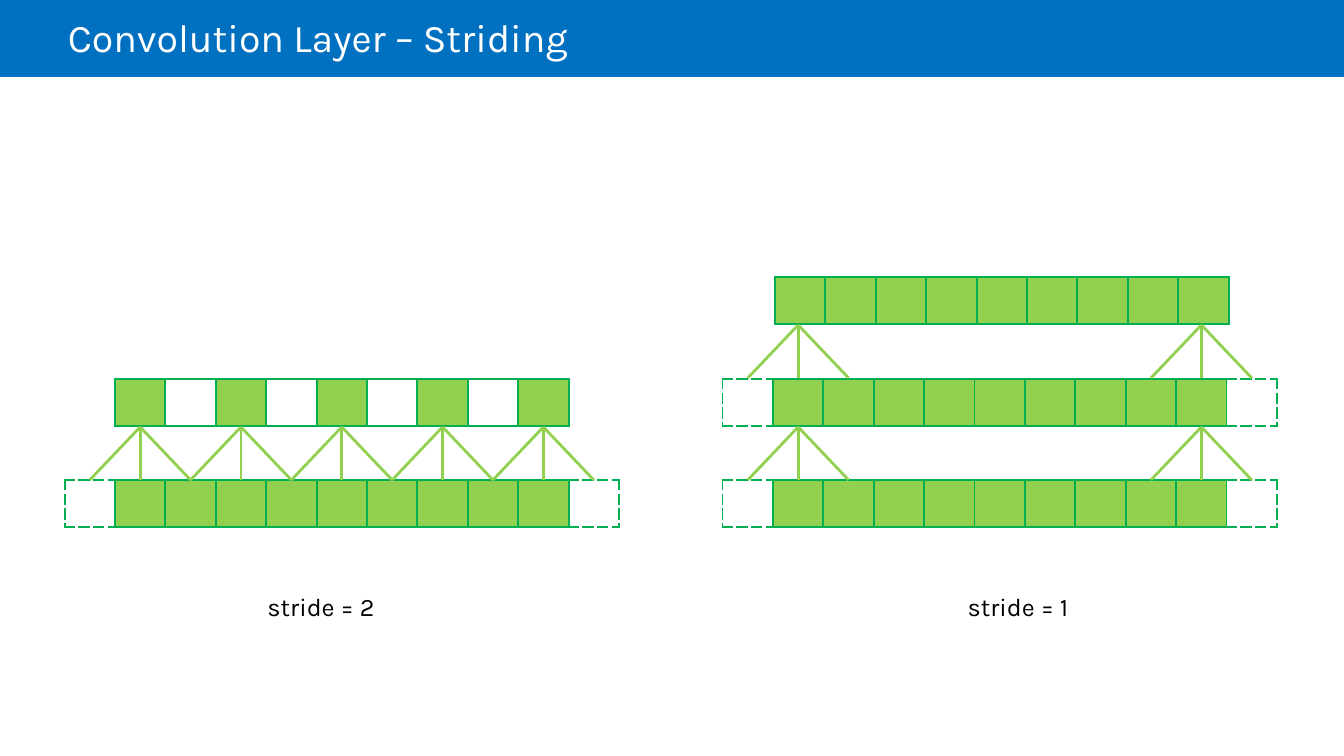
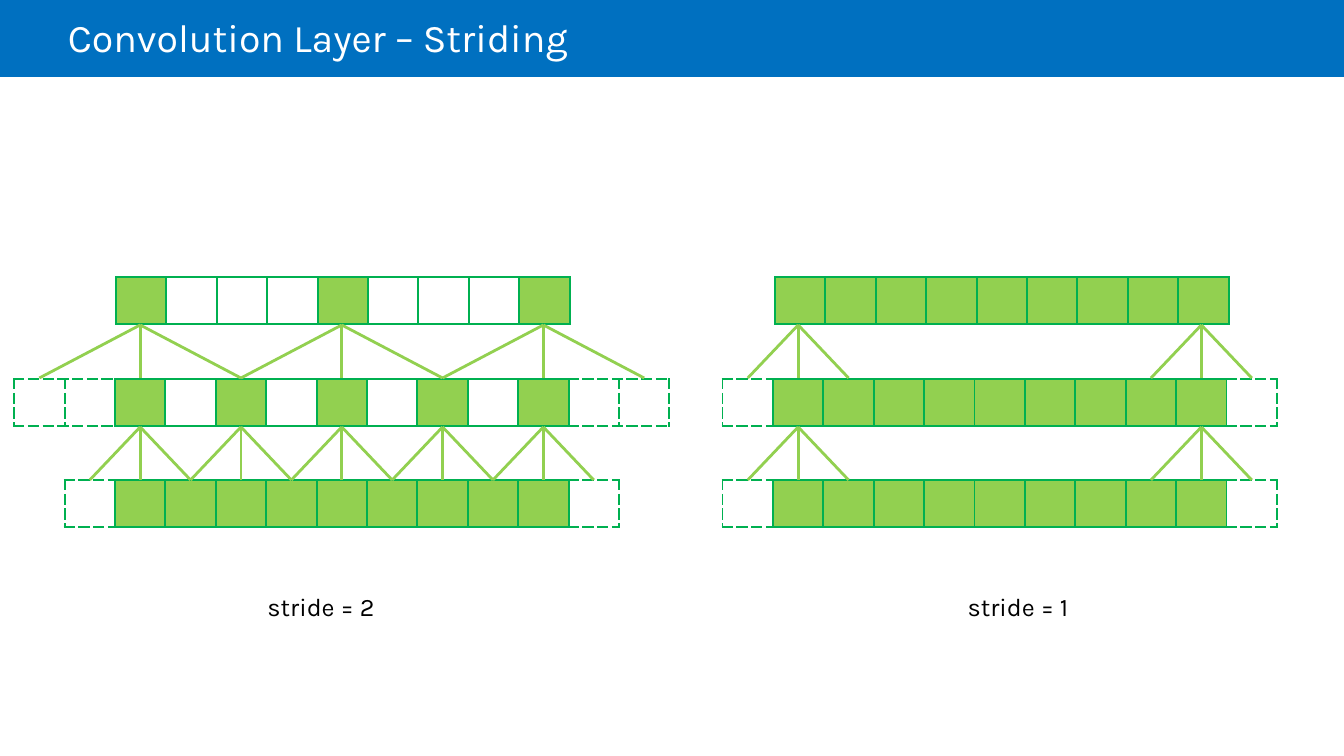
from lxml import etree
from pptx import Presentation
from pptx.dml.color import RGBColor
from pptx.enum.shapes import MSO_CONNECTOR, MSO_SHAPE
from pptx.enum.text import MSO_ANCHOR, PP_ALIGN
from pptx.oxml.ns import qn
from pptx.util import Emu, Pt

# Content. In a row: # kept cell, . unfilled cell, o white cell,
# - dashed padding, space for a cell without border.
TITLE = "Convolution Layer – Striding"
DENSE = "-#########-"
STRIDE_1 = {
    "caption": ("stride = 1", 865),
    "rows": [("middle", 773, DENSE), ("top", 775, " ######### "), ("bottom", 773, DENSE)],
    "fans": [("middle", 773, (0, 8), 1), ("top", 773, (0, 8), 1)],
}
STRIDE_2_START = {
    "caption": ("stride = 2", 168),
    "rows": [("middle", 115, "  #.#.#.#.#  "), ("bottom", 115, DENSE)],
    "fans": [("middle", 115, (0, 2, 4, 6, 8), 1)],
}
STRIDE_2_FULL = {
    "caption": ("stride = 2", 168),
    "rows": [("middle", 115, "--#.#.#.#.#--"), ("top", 116, " #ooo#ooo# "), ("bottom", 115, DENSE)],
    "fans": STRIDE_2_START["fans"] + [("top", 115, (0, 4, 8), 2)],
}
SLIDES = [(STRIDE_2_START, STRIDE_1), (STRIDE_2_FULL, STRIDE_1)]

THEME = {
    "font": "Karla", "title_size": 28, "caption_size": 18,
    "band": "0070C0", "title": "FFFFFF", "text": "000000",
    "kept": "92D050", "blank": "FFFFFF", "border": "00B050",
    "border_width": 1.5, "fan_width": 2,
}

# Geometry in px
SLIDE_W, SLIDE_H = 1344, 756
BAND_H = 77
TITLE_BOX = (68, 0, 1143, 82)
LEVEL_TOP = {"top": 277, "middle": 379, "bottom": 480}
CELL_W, CELL_H = 504 / 10, 47
FAN_H = 53
CAPTION_TOP, CAPTION_W, CAPTION_H = 586, 306, 40
PX = 12192000 / SLIDE_W


def px(*lengths):
    return [Emu(round(n * PX)) for n in lengths]


def color(name):
    return RGBColor.from_string(THEME[name])


def write(tf, text, size, ink, **paragraph):
    p = tf.paragraphs[0]
    for name, value in paragraph.items():
        setattr(p, name, value)
    r = p.add_run()
    r.text = text
    r.font.color.rgb = color(ink)
    for name, value in {"name": THEME["font"], "size": Pt(THEME[size])}.items():
        setattr(r.font, name, value)


def set_border(cell, side, style):
    ln = etree.SubElement(cell._tc.get_or_add_tcPr(), qn(f"a:ln{side}"),
                          w=str(Pt(THEME["border_width"])))
    if style == "none":
        etree.SubElement(ln, qn("a:noFill"))
        return
    fill = etree.SubElement(ln, qn("a:solidFill"))
    etree.SubElement(fill, qn("a:srgbClr"), val=THEME["border"])
    etree.SubElement(ln, qn("a:prstDash"), val=style)


def border_style(cells):
    """A solid edge wins over a dashed one, and a dashed one over none."""
    if any(c in "#.o" for c in cells):
        return "solid"
    return "sysDash" if "-" in cells else "none"


def add_row(slide, level, left, pattern):
    """Draw one layer; left is where its first kept cell starts."""
    left -= pattern.index("#") * CELL_W
    box = px(left, LEVEL_TOP[level], len(pattern) * CELL_W, CELL_H)
    table = slide.shapes.add_table(1, len(pattern), *box).table
    table.first_row = table.horz_banding = False
    for i, kind in enumerate(pattern):
        table.columns[i].width = px(CELL_W)[0]
        cell = table.cell(0, i)
        edges = {"L": pattern[max(i - 1, 0):i + 1], "R": pattern[i:i + 2],
                 "T": kind, "B": kind}
        for side, cells in edges.items():
            set_border(cell, side, border_style(cells))
        if kind == ".":
            cell.fill.background()
        else:
            cell.fill.solid()
            cell.fill.fore_color.rgb = color("kept" if kind == "#" else "blank")


def add_fan(slide, level, left, index, reach):
    """Join a cell to the three cells below it that it is computed from."""
    apex = left + (index + 0.5) * CELL_W
    y = LEVEL_TOP[level] + CELL_H + 1
    group = slide.shapes.add_group_shape()
    for step in (reach, 0, -reach):
        ends = px(apex, y, apex + step * CELL_W, y + FAN_H)
        line = group.shapes.add_connector(MSO_CONNECTOR.STRAIGHT, *ends)
        line.line.color.rgb = color("kept")
        line.line.width = Pt(THEME["fan_width"])
        etree.SubElement(line._element.spPr, qn("a:effectLst"))


def add_caption(slide, text, left):
    box = px(left, CAPTION_TOP, CAPTION_W, CAPTION_H)
    tf = slide.shapes.add_textbox(*box).text_frame
    tf.word_wrap = True
    write(tf, text, "caption_size", "text", alignment=PP_ALIGN.CENTER)


def add_panel(slide, panel):
    for row in panel["rows"]:
        add_row(slide, *row)
    for level, left, indexes, reach in panel["fans"]:
        for index in indexes:
            add_fan(slide, level, left, index, reach)
    add_caption(slide, *panel["caption"])


def set_title_layout(layout):
    title = next(sp for sp in layout.placeholders if sp.placeholder_format.idx == 0)
    for name, value in zip(("left", "top", "width", "height"), px(*TITLE_BOX)):
        setattr(title, name, value)
    frame = {"vertical_anchor": MSO_ANCHOR.MIDDLE, "margin_left": 0}
    for name, value in frame.items():
        setattr(title.text_frame, name, value)


def add_master_band(prs, slide):
    """Build the band on a slide, then move it behind everything on the master."""
    band = slide.shapes.add_shape(MSO_SHAPE.RECTANGLE, *px(0, 0, SLIDE_W, BAND_H))
    band.shadow.inherit = False
    band.fill.solid()
    band.fill.fore_color.rgb = color("band")
    band.line.fill.background()
    prs.slide_master.shapes.element.insert(2, band.element)


def main():
    prs = Presentation()
    prs.slide_width, prs.slide_height = px(SLIDE_W, SLIDE_H)
    layout = prs.slide_layouts.get_by_name("Title Only")
    set_title_layout(layout)
    for panels in SLIDES:
        slide = prs.slides.add_slide(layout)
        write(slide.shapes.title.text_frame, TITLE, "title_size", "title",
              alignment=PP_ALIGN.LEFT, line_spacing=0.85)
        for panel in panels:
            add_panel(slide, panel)
    add_master_band(prs, prs.slides[0])
    prs.save("out.pptx")


if __name__ == "__main__":
    main()
